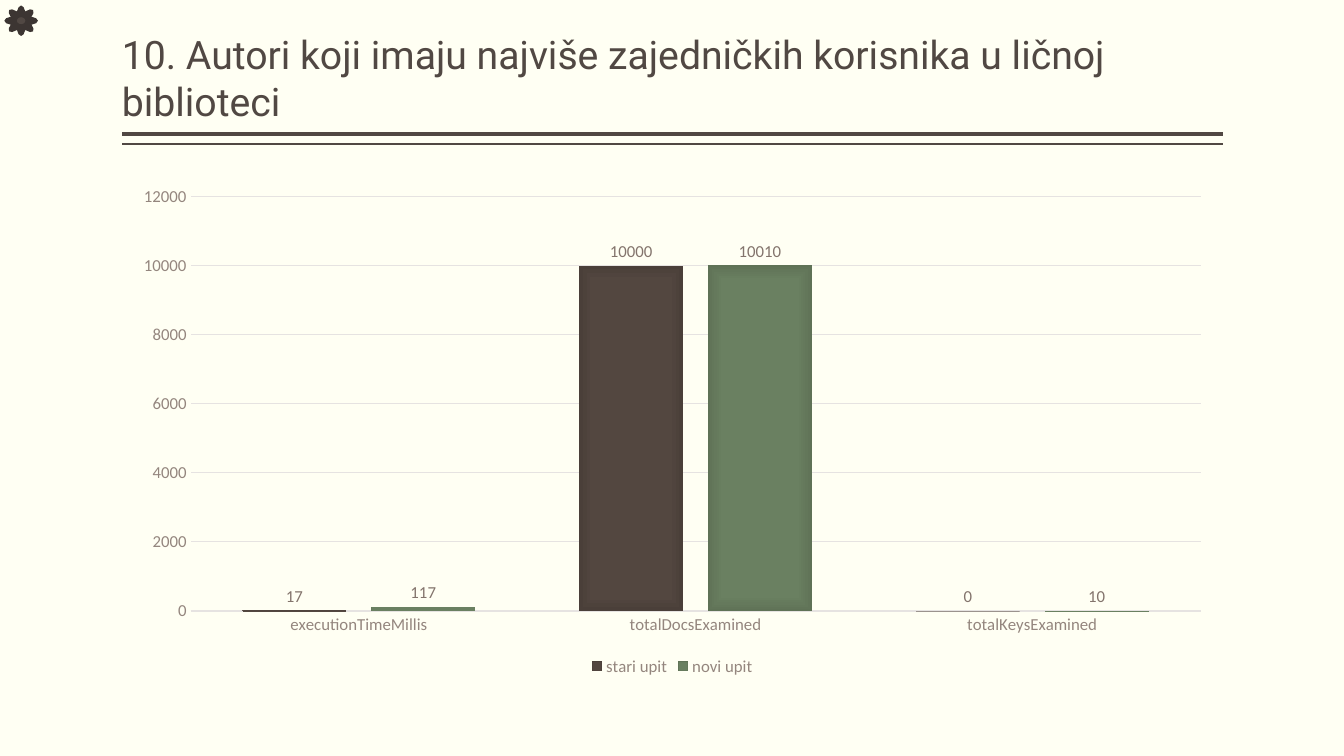
from lxml.etree import SubElement
from pptx import Presentation
from pptx.chart.data import CategoryChartData
from pptx.dml.color import RGBColor
from pptx.enum.chart import XL_CHART_TYPE, XL_LABEL_POSITION, XL_LEGEND_POSITION, XL_TICK_MARK
from pptx.enum.shapes import MSO_CONNECTOR, MSO_SHAPE
from pptx.enum.text import MSO_ANCHOR, MSO_AUTO_SIZE, PP_ALIGN
from pptx.oxml import parse_xml
from pptx.oxml.ns import nsdecls, qn
from pptx.util import Pt

CREAM = RGBColor(0xFF, 0xFF, 0xF3)
BROWN = RGBColor(0x51, 0x48, 0x43)
DARK = RGBColor(0x3C, 0x35, 0x32)
AXIS_TEXT = RGBColor(0x94, 0x86, 0x7E)
LABEL_TEXT = RGBColor(0x83, 0x74, 0x6C)
GRID = RGBColor(0xE6, 0xE3, 0xE1)
BROWN_STOPS = (RGBColor(0x54, 0x47, 0x40), RGBColor(0x53, 0x47, 0x40), RGBColor(0x4A, 0x3F, 0x39))
GREEN_STOPS = (RGBColor(0x6B, 0x81, 0x62), RGBColor(0x6A, 0x80, 0x61), RGBColor(0x5F, 0x72, 0x56))

LEFT, WIDTH = 87.1, 786.2
CATEGORIES = ("executionTimeMillis", "totalDocsExamined", "totalKeysExamined")
SERIES = (
    ("stari upit", (17, 10000, 0), BROWN_STOPS),
    ("novi upit", (117, 10010, 10), GREEN_STOPS),
)


def set_font(font, name="Calibri", size=12, color=AXIS_TEXT):
    """Apply typeface, size and colour to a font."""
    font.name = name
    font.size = Pt(size)
    font.bold = False
    font.color.rgb = color


def add_text(tf, text, align=PP_ALIGN.LEFT, **fmt):
    """Put one formatted run in the first paragraph."""
    p = tf.paragraphs[0]
    p.alignment = align
    r = p.add_run()
    r.text = text
    set_font(r.font, **fmt)


def set_title(s, text):
    """Place and format the title placeholder."""
    sp = s.shapes.title
    sp.left, sp.top, sp.width, sp.height = Pt(LEFT), Pt(5.8), Pt(WIDTH), Pt(86.4)
    tf = sp.text_frame
    tf.auto_size = MSO_AUTO_SIZE.NONE
    tf.word_wrap = True
    tf.vertical_anchor = MSO_ANCHOR.BOTTOM
    tf.margin_left = tf.margin_right = 0
    tf.margin_top = tf.margin_bottom = Pt(3.6)
    add_text(tf, text, name="Roboto", size=28, color=BROWN)


def add_rule(s, y, weight):
    """Draw a horizontal rule under the title."""
    line = s.shapes.add_connector(MSO_CONNECTOR.STRAIGHT, Pt(LEFT + WIDTH), Pt(y), Pt(LEFT), Pt(y))
    line.line.color.rgb = BROWN
    line.line.width = Pt(weight)
    SubElement(line._element.spPr, qn("a:effectLst"))


def add_sun(s):
    """Draw the corner ornament."""
    sp = s.shapes.add_shape(MSO_SHAPE.SUN, Pt(5), Pt(5.8), Pt(20.2), Pt(18))
    sp.shadow.inherit = False
    sp.fill.solid()
    sp.fill.fore_color.rgb = BROWN
    sp.line.color.rgb = DARK
    sp.line.width = Pt(3.78)


def fill_gradient(series, colors):
    """Fill the bars of a series with a rectangular gradient."""
    stops = "".join(
        f'<a:gs pos="{pos * 1000}"><a:srgbClr val="{color}"/></a:gs>'
        for pos, color in zip((0, 71, 100), colors)
    )
    grad = parse_xml(
        f'<a:gradFill {nsdecls("a")} rotWithShape="1"><a:gsLst>{stops}</a:gsLst><a:path path="rect">'
        '<a:fillToRect l="50000" t="50000" r="50000" b="50000"/></a:path></a:gradFill>'
    )
    series.format.line.fill.background()
    series._element.get_or_add_spPr().insert(0, grad)


def format_axes(chart):
    """Style the category and value axes."""
    cat, val = chart.category_axis, chart.value_axis
    for axis in (cat, val):
        axis.major_tick_mark = axis.minor_tick_mark = XL_TICK_MARK.NONE
        set_font(axis.tick_labels.font)
    cat.format.line.color.rgb = GRID
    cat.format.line.width = Pt(1)
    val.format.line.fill.background()
    val.minimum_scale, val.maximum_scale, val.major_unit = 0, 12000, 2000
    grid = val.major_gridlines.format.line
    grid.color.rgb = GRID
    grid.width = Pt(0.75)


def add_bars(s):
    """Add the clustered column chart."""
    data = CategoryChartData()
    data.categories = CATEGORIES
    for name, values, _ in SERIES:
        data.add_series(name, values)
    chart = s.shapes.add_chart(
        XL_CHART_TYPE.COLUMN_CLUSTERED, Pt(LEFT), Pt(126), Pt(WIDTH), Pt(360), data
    ).chart
    set_font(chart.font, size=10, color=BROWN)
    chart.has_title = False
    chart.has_legend = True
    chart.legend.position = XL_LEGEND_POSITION.BOTTOM
    chart.legend.include_in_layout = False
    set_font(chart.legend.font)
    format_axes(chart)
    plot = chart.plots[0]
    plot.vary_by_categories = False
    plot.gap_width, plot.overlap = 100, -24
    for series, (_, _, colors) in zip(plot.series, SERIES):
        fill_gradient(series, colors)
        labels = series.data_labels
        labels.show_value = True
        labels.position = XL_LABEL_POSITION.OUTSIDE_END
        set_font(labels.font, color=LABEL_TEXT)


def main():
    """Build the slide and save it."""
    prs = Presentation()
    prs.slide_width, prs.slide_height = Pt(960), Pt(540)
    s = prs.slides.add_slide(prs.slide_layouts.get_by_name("Title Only"))
    s.background.fill.solid()
    s.background.fill.fore_color.rgb = CREAM
    add_rule(s, y=95.8, weight=3)
    add_rule(s, y=102.8, weight=1)
    set_title(s, "10. Autori koji imaju najviše zajedničkih korisnika u ličnoj biblioteci")
    add_bars(s)
    add_sun(s)
    prs.save("out.pptx")


if __name__ == "__main__":
    main()
